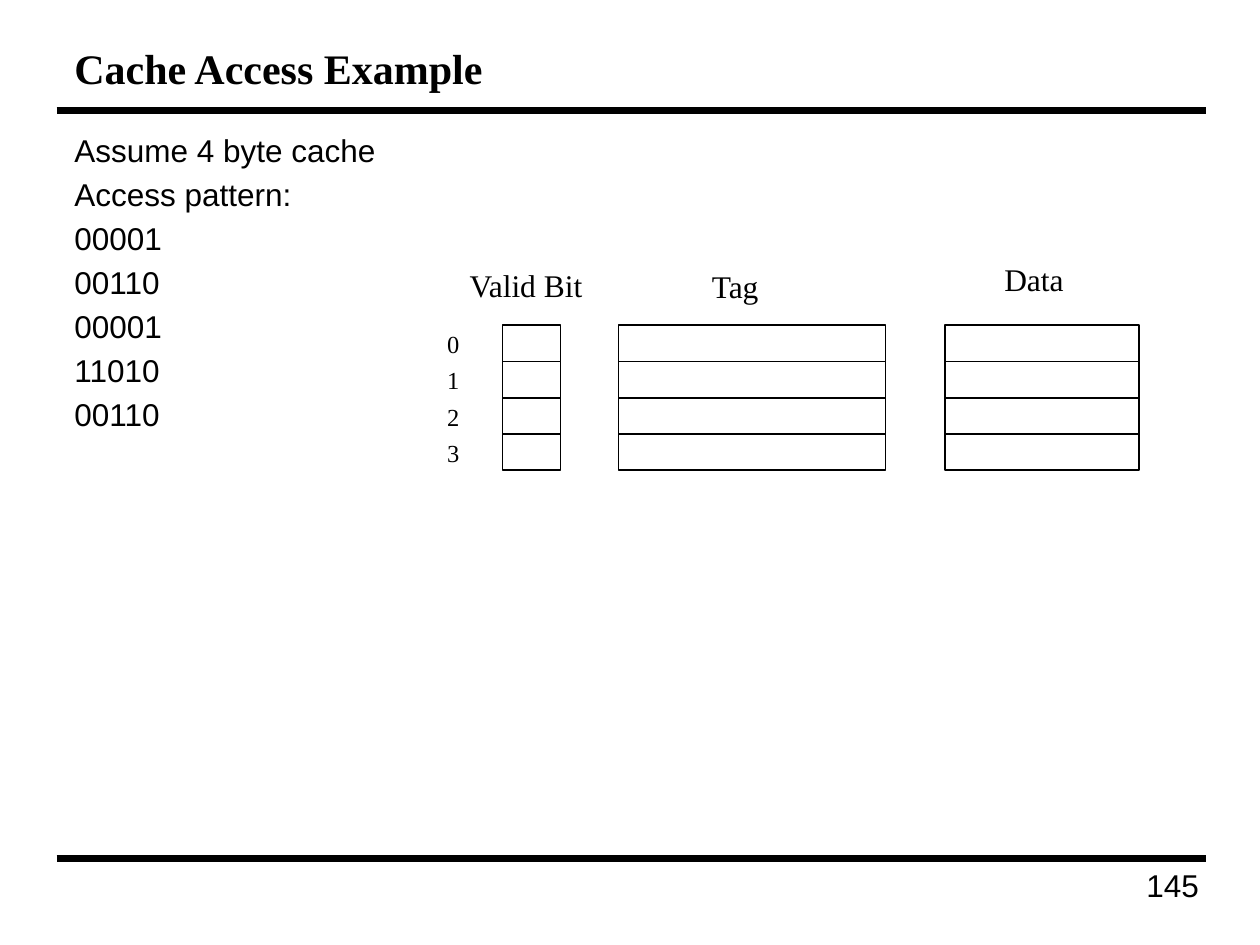
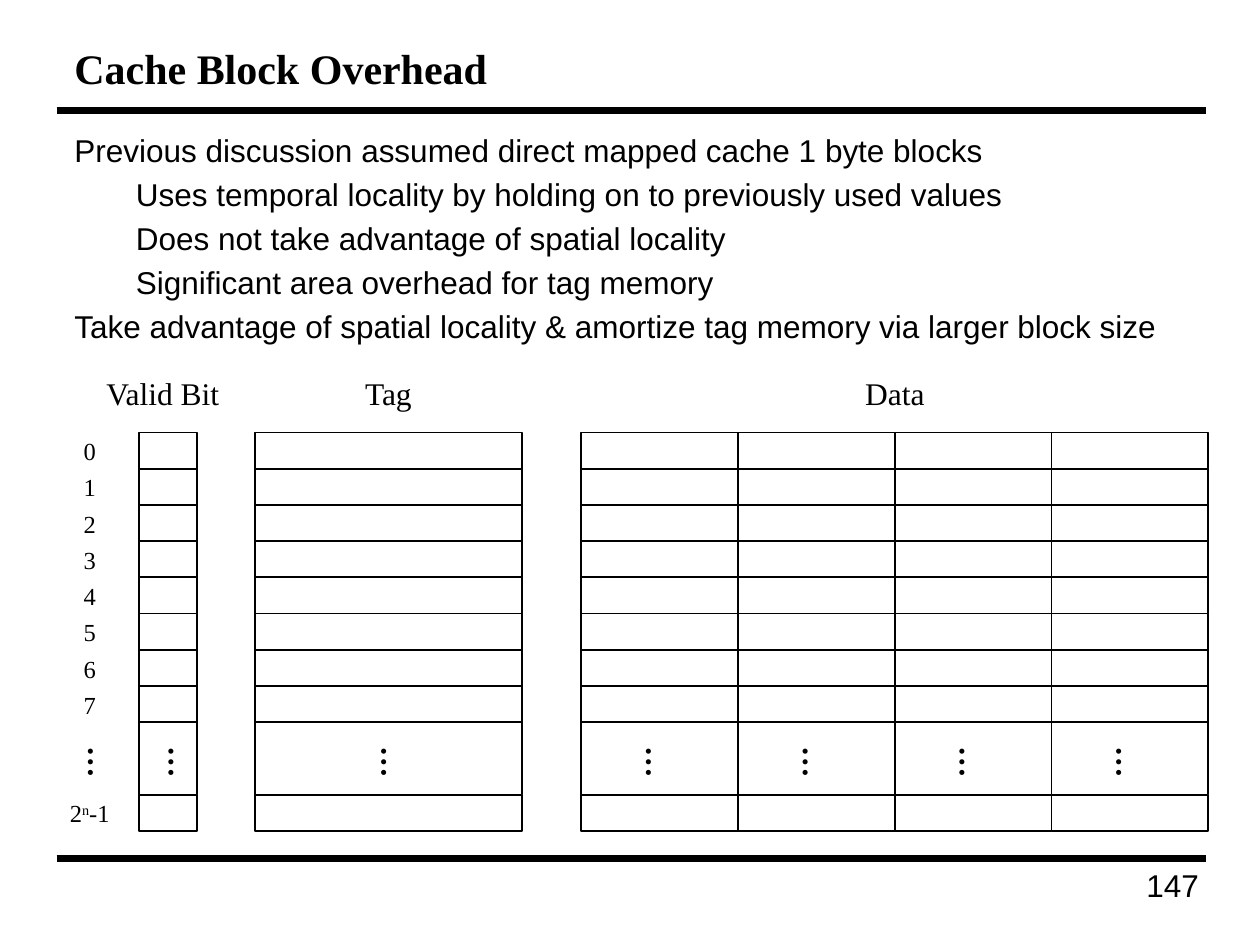
import pptx
import pptx.dml.color
import pptx.enum.shapes
import pptx.enum.text
import pptx.util
from lxml import etree
from pptx.util import Cm

BLACK = pptx.dml.color.RGBColor(0x00, 0x00, 0x00)
WHITE = pptx.dml.color.RGBColor(0xFF, 0xFF, 0xFF)
SERIF = "Times New Roman"
SANS = "Arial"
ALIGN = pptx.enum.text.PP_ALIGN
ANCHOR = pptx.enum.text.MSO_ANCHOR

RULE_LEFT, RULE_RIGHT = 1.14, 24.31
RULE_TOPS = (2.23, 17.3)
TITLE_BOX = (1.25, 0.64, 22.96, 1.47)
BODY_BOX = (1.25, 2.51, 22.96, 14.63)
NUMBER_BOX = (19.21, 17.34, 5.21, 1.24)
BODY_INDENTS = ((0.94, -0.94), (2.03, -0.79))

ROW_HEIGHT = 0.73
VALID_WIDTH = 1.17
TAG_OFFSET, TAG_WIDTH = 2.34, 5.38
DATA_OFFSET = 8.92
INDEX_CENTER = -0.99
INDEX_WIDTH = 1.4
ELLIPSIS = "…"
ELLIPSIS_SHIFTS = {"Valid Bit": 0.27, "Tag": 0.11, "Data": -0.02}
INDEX_ELLIPSIS_SHIFT = 0.22


def style(paragraph, size, font_name, bold=False):
    paragraph.font.size = pptx.util.Pt(size)
    paragraph.font.name = font_name
    paragraph.font.bold = bold
    paragraph.font.color.rgb = BLACK


def add_text_frame(slide, box):
    frame = slide.shapes.add_textbox(*map(Cm, box)).text_frame
    frame.word_wrap = True
    return frame


def add_label(slide, center, top, width, height, parts, size, bold=False, rotation=0):
    shape = slide.shapes.add_textbox(Cm(center - width / 2), Cm(top), Cm(width), Cm(height))
    shape.rotation = rotation
    frame = shape.text_frame
    frame.word_wrap = False
    frame.auto_size = pptx.enum.text.MSO_AUTO_SIZE.SHAPE_TO_FIT_TEXT
    paragraph = frame.paragraphs[0]
    paragraph.alignment = ALIGN.CENTER
    for position, part in enumerate(parts):
        run = paragraph.add_run()
        run.text = part
        if position == 1:
            run._r.get_or_add_rPr().set("baseline", "30000")
    style(paragraph, size, SERIF, bold)


def add_ellipsis(slide, center, row_middle):
    add_label(slide, center, row_middle - 0.43, 1.14, 1.02, [ELLIPSIS], 18, True, 90)


def add_frame(slide, title, number):
    for top in RULE_TOPS:
        rule = slide.shapes.add_connector(
            pptx.enum.shapes.MSO_CONNECTOR.STRAIGHT,
            Cm(RULE_LEFT), Cm(top), Cm(RULE_RIGHT), Cm(top))
        rule.line.color.rgb = BLACK
        rule.line.width = pptx.util.Pt(4)
        etree.SubElement(rule._element.spPr, pptx.oxml.ns.qn("a:effectLst"))
    number_frame = add_text_frame(slide, NUMBER_BOX)
    number_frame.text = str(number)
    number_frame.paragraphs[0].alignment = ALIGN.RIGHT
    style(number_frame.paragraphs[0], 18, SANS)
    title_frame = add_text_frame(slide, TITLE_BOX)
    title_frame.vertical_anchor = ANCHOR.MIDDLE
    title_frame.text = title
    style(title_frame.paragraphs[0], 24, SERIF, True)


def add_body(slide, lines):
    frame = add_text_frame(slide, BODY_BOX)
    frame.text = "\n".join(text for level, text in lines)
    for position, (paragraph, (level, text)) in enumerate(zip(frame.paragraphs, lines)):
        paragraph.level = level
        margin, indent = BODY_INDENTS[level]
        properties = paragraph._p.get_or_add_pPr()
        properties.set("marL", str(Cm(margin)))
        properties.set("indent", str(Cm(indent)))
        if position:
            paragraph.space_before = pptx.util.Pt(3.6)
        style(paragraph, 18, SANS)


def add_cell(slide, left, top, width, height):
    cell = slide.shapes.add_shape(
        pptx.enum.shapes.MSO_SHAPE.RECTANGLE, Cm(left), Cm(top), Cm(width), Cm(height))
    cell.shadow.inherit = False
    cell.fill.solid()
    cell.fill.fore_color.rgb = WHITE
    cell.line.color.rgb = BLACK
    cell.line.width = pptx.util.Pt(1)


def add_cache(slide, left, top, indexes, block_width, block_count, heading_shifts):
    columns = [
        ("Valid Bit", 0, VALID_WIDTH, 1, 2.86),
        ("Tag", TAG_OFFSET, TAG_WIDTH, 1, 1.5),
        ("Data", DATA_OFFSET, block_width, block_count, 1.7),
    ]
    row_top = top
    for index in indexes:
        is_ellipsis = index == ELLIPSIS
        height = ROW_HEIGHT * (2 if is_ellipsis else 1)
        middle = row_top + height / 2
        if is_ellipsis:
            add_ellipsis(slide, left + INDEX_CENTER + INDEX_ELLIPSIS_SHIFT, middle)
        else:
            add_label(slide, left + INDEX_CENTER, row_top - 0.05, INDEX_WIDTH, 0.84, index, 14)
        for name, offset, width, count, _ in columns:
            for block in range(count):
                cell_left = left + offset + block * width
                add_cell(slide, cell_left, row_top, width, height)
                if is_ellipsis:
                    add_ellipsis(slide, cell_left + width / 2 + ELLIPSIS_SHIFTS[name], middle)
        row_top += height
    for (name, offset, width, count, label_width), (across, down) in zip(columns, heading_shifts):
        center = left + offset + width * count / 2 + across
        add_label(slide, center, top + down, label_width, 1.02, [name], 18)


def build_access_example(slide):
    add_frame(slide, "Cache Access Example", 145)
    lines = ["Assume 4 byte cache", "Access pattern:",
             "00001", "00110", "00001", "11010", "00110"]
    add_body(slide, [(0, line) for line in lines])
    add_cache(slide, 10.13, 6.56, [str(row) for row in range(4)], 3.91, 1,
              [(-0.11, -1.32), (-0.34, -1.3), (-0.16, -1.45)])


def build_block_overhead(slide):
    add_frame(slide, "Cache Block Overhead", 147)
    add_body(slide, [
        (0, "Previous discussion assumed direct mapped cache 1 byte blocks"),
        (1, "Uses temporal locality by holding on to previously used values"),
        (1, "Does not take advantage of spatial locality"),
        (1, "Significant area overhead for tag memory"),
        (0, "Take advantage of spatial locality & amortize tag memory via larger block size"),
    ])
    indexes = [str(row) for row in range(8)] + [ELLIPSIS, ("2", "n", "-1")]
    add_cache(slide, 2.8, 8.72, indexes, 3.16, 4,
              [(-0.1, -1.3), (0, -1.3), (0, -1.3)])


def main():
    presentation = pptx.Presentation()
    presentation.slide_width = Cm(25.4)
    presentation.slide_height = Cm(19.05)
    for build in (build_access_example, build_block_overhead):
        build(presentation.slides.add_slide(presentation.slide_layouts[6]))
    presentation.save("out.pptx")


if __name__ == "__main__":
    main()
